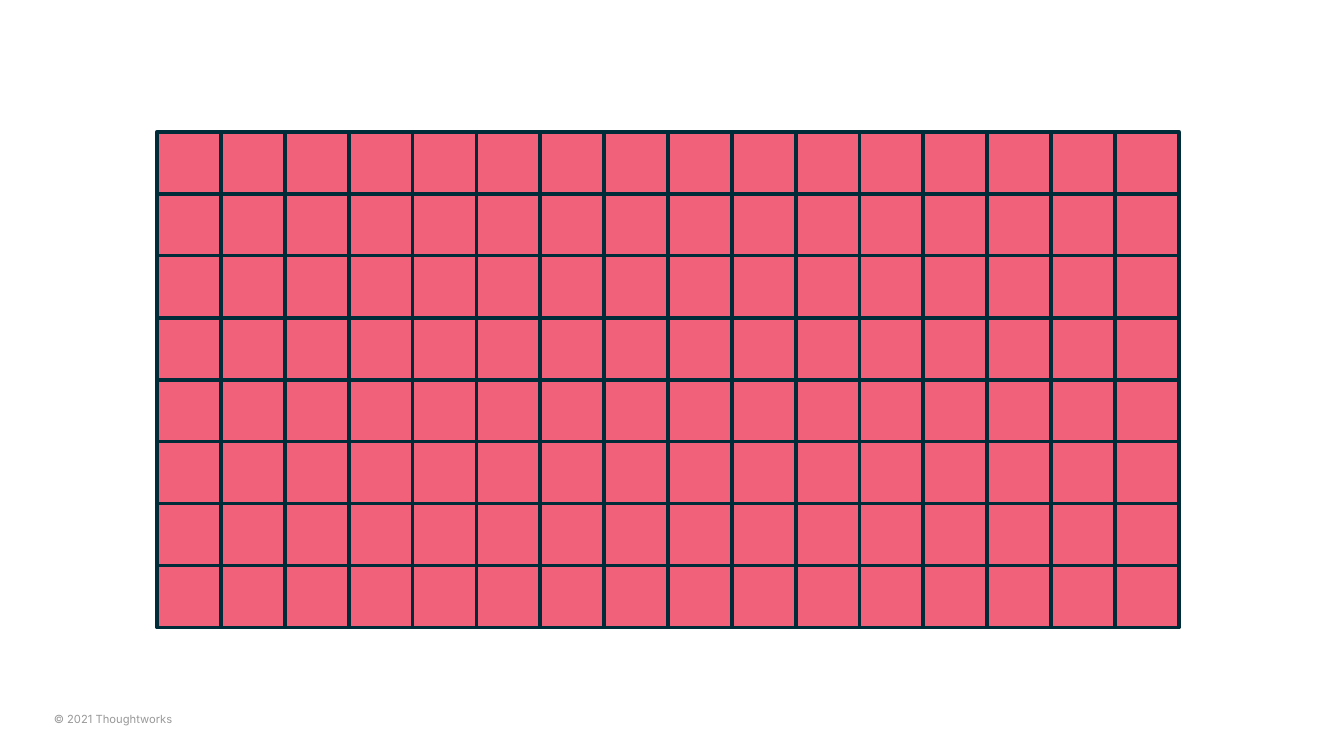
"""Build a slide with a grid of 16 by 8 framed cells and a footer."""
import pptx
import pptx.dml.color
import pptx.enum.shapes
import pptx.enum.text
import pptx.util

Inches = pptx.util.Inches
Pt = pptx.util.Pt
RGBColor = pptx.dml.color.RGBColor

PINK = RGBColor(0xF2, 0x61, 0x7A)
NAVY = RGBColor(0x00, 0x2C, 0x39)
GRAY = RGBColor(0x99, 0x99, 0x99)

COLS, ROWS = 16, 8
LEFT, TOP = 1.17, 0.98
WIDTH, HEIGHT = 7.6, 3.69


class Painter:
    def __init__(self, slide, font):
        self.slide = slide
        self.font = font

    def cell(self, left, top, width, height):
        shape = self.slide.shapes.add_shape(
            pptx.enum.shapes.MSO_SHAPE.RECTANGLE,
            Inches(left), Inches(top), Inches(width), Inches(height))
        shape.shadow.inherit = False
        shape.fill.solid()
        shape.fill.fore_color.rgb = PINK
        shape.line.color.rgb = NAVY
        shape.line.width = Pt(2)

    def label(self, text, left, top, width, height, size, color):
        box = self.slide.shapes.add_textbox(
            Inches(left), Inches(top), Inches(width), Inches(height))
        frame = box.text_frame
        frame.word_wrap = True
        frame.vertical_anchor = pptx.enum.text.MSO_ANCHOR.BOTTOM
        frame.margin_left = frame.margin_right = 0
        frame.margin_top = frame.margin_bottom = 0
        run = frame.paragraphs[0].add_run()
        run.text = text
        run.font.name = self.font
        run.font.size = Pt(size)
        run.font.color.rgb = color


def main():
    deck = pptx.Presentation()
    deck.slide_width = Inches(10)
    deck.slide_height = Inches(10 * 9 / 16)
    painter = Painter(deck.slides.add_slide(deck.slide_layouts[6]), "Inter")

    painter.label("© 2021 Thoughtworks", 0.4, 5.21, 4.31, 0.19, 6, GRAY)
    wide, high = WIDTH / COLS, HEIGHT / ROWS
    for row in range(ROWS):
        for col in range(COLS):
            painter.cell(LEFT + col * wide, TOP + row * high, wide, high)

    deck.save("out.pptx")


if __name__ == "__main__":
    main()
